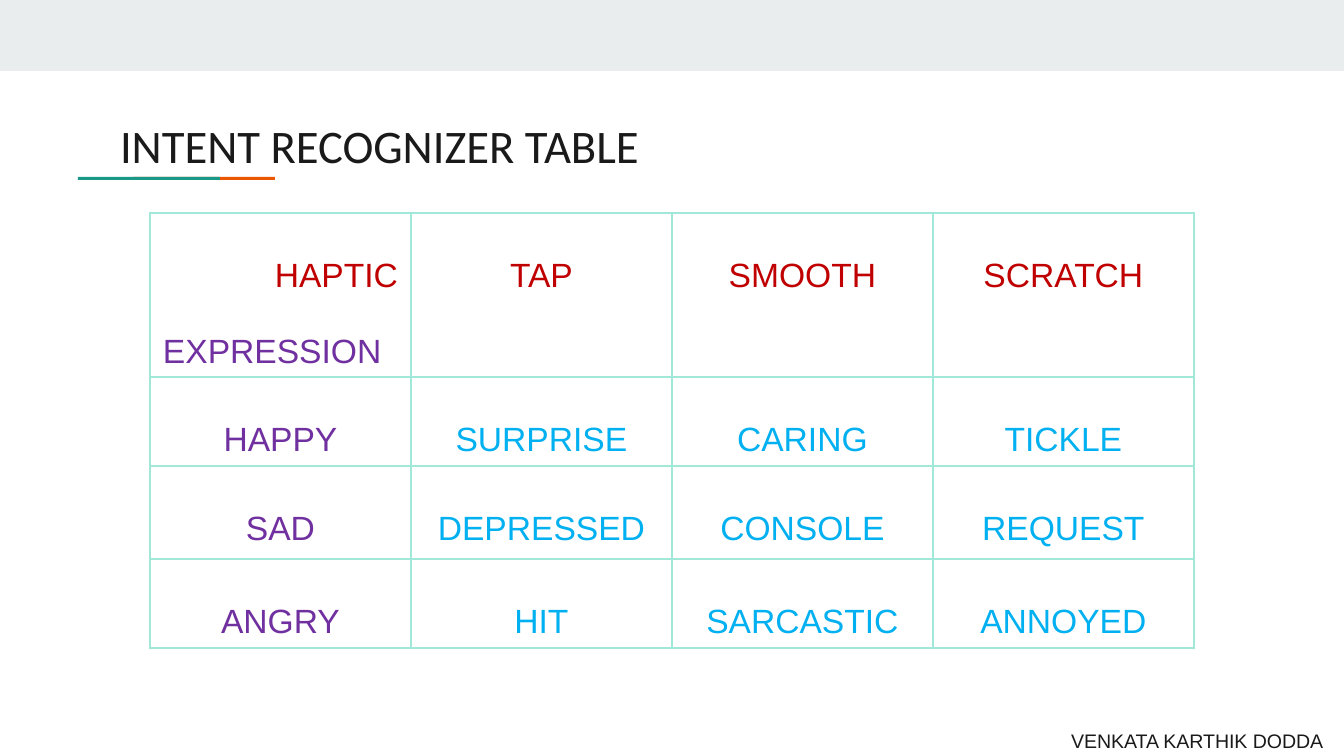
from lxml import etree
from pptx import Presentation
from pptx.dml.color import RGBColor
from pptx.enum.shapes import MSO_SHAPE
from pptx.enum.text import MSO_ANCHOR, MSO_AUTO_SIZE, PP_ALIGN
from pptx.oxml.ns import qn
from pptx.util import Pt

RECT = MSO_SHAPE.RECTANGLE
TOP = MSO_ANCHOR.TOP
GROW = MSO_AUTO_SIZE.SHAPE_TO_FIT_TEXT
FIXED = MSO_AUTO_SIZE.NONE
LEFT, MID, RIGHT = PP_ALIGN.LEFT, PP_ALIGN.CENTER, PP_ALIGN.RIGHT

INK = RGBColor(0x1A, 0x1A, 0x1A)
BAND = RGBColor(0xE9, 0xED, 0xEE)
TEAL = RGBColor(0x1A, 0x99, 0x88)
ORANGE = RGBColor(0xEB, 0x56, 0x00)
MINT = RGBColor(0xA1, 0xE8, 0xD9)
RED = RGBColor(0xC0, 0x00, 0x00)
PURPLE = RGBColor(0x70, 0x30, 0xA0)
BLUE = RGBColor(0x00, 0xB0, 0xF0)


def px(n):
    return round(n * 914400 / 134.4)


def write(para, text, font="Arial", size=18, color=INK, align=LEFT,
          before=0, line=None):
    run = para.add_run()
    run.text = text
    run.font.name, run.font.size = font, Pt(size)
    run.font.bold = False
    run.font.color.rgb = color
    para.alignment = align
    if before:
        para.space_before = px(before)
    if line:
        para.line_spacing = line


class Deck:
    def __init__(self, wide, high):
        self.prs = Presentation()
        self.prs.slide_width, self.prs.slide_height = px(wide), px(high)
        self.slide = self.prs.slides.add_slide(self.prs.slide_layouts[5])

    def title(self, text, x, y, w, h):
        box = self.slide.shapes.title
        box.left, box.top, box.width, box.height = map(px, (x, y, w, h))
        frame = box.text_frame
        frame.auto_size = FIXED
        frame.vertical_anchor = TOP
        frame.margin_left = frame.margin_right = px(13)
        frame.margin_top = frame.margin_bottom = px(13)
        write(frame.paragraphs[0], text, font="Calibri", size=25)

    def bar(self, x, y, w, h, color):
        shape = self.slide.shapes.add_shape(RECT, *map(px, (x, y, w, h)))
        shape.shadow.inherit = False
        shape.fill.solid()
        shape.fill.fore_color.rgb = color
        shape.line.fill.background()

    def label(self, text, x, y, w, h, **style):
        box = self.slide.shapes.add_textbox(*map(px, (x, y, w, h)))
        frame = box.text_frame
        frame.word_wrap = True
        frame.auto_size = GROW
        para = frame.paragraphs[0]
        para._p.get_or_add_pPr().set("marL", str(px(4)))
        write(para, text, **style)

    def border(self, cell, color):
        props = cell._tc.get_or_add_tcPr()
        for i, side in enumerate(("lnL", "lnR", "lnT", "lnB")):
            line = etree.Element(qn("a:" + side), w=str(Pt(1)))
            fill = etree.SubElement(line, qn("a:solidFill"))
            etree.SubElement(fill, qn("a:srgbClr"), val=str(color))
            props.insert(i, line)

    def table(self, rows, x, y, step, highs):
        cols = len(rows[0])
        size = map(px, (x, y, step * cols, sum(highs)))
        grid = self.slide.shapes.add_table(len(rows), cols, *size).table
        grid.first_row = grid.horz_banding = False
        for col in grid.columns:
            col.width = px(step)
        for r, (row, high) in enumerate(zip(rows, highs)):
            grid.rows[r].height = px(high)
            for c, text in enumerate(row):
                cell = grid.cell(r, c)
                cell.fill.background()
                self.border(cell, MINT)
                cell.margin_left = cell.margin_right = px(13)
                cell.margin_top, cell.margin_bottom = px(44), px(5)
                color = RED if r == 0 else PURPLE if c == 0 else BLUE
                align = RIGHT if r == c == 0 else MID
                write(cell.text_frame.paragraphs[0], text,
                      color=color, align=align)
        return grid


def main():
    deck = Deck(1344, 756)

    # Top band and two-colour rule
    deck.bar(0, 0, 1344, 71, BAND)
    for x, color in ((133, ORANGE), (78, TEAL)):
        deck.bar(x, 177, 142, 3, color)

    deck.title("INTENT RECOGNIZER TABLE", 107, 104, 1130, 110)

    # Intent for each expression and haptic
    rows = (
        ("HAPTIC", "TAP", "SMOOTH", "SCRATCH"),
        ("HAPPY", "SURPRISE", "CARING", "TICKLE"),
        ("SAD", "DEPRESSED", "CONSOLE", "REQUEST"),
        ("ANGRY", "HIT", "SARCASTIC", "ANNOYED"),
    )
    grid = deck.table(rows, 150, 213, 261, (164, 89, 93, 89))
    corner = grid.cell(0, 0).text_frame.add_paragraph()
    write(corner, "EXPRESSION", color=PURPLE, before=38)

    # Author
    deck.label("VENKATA KARTHIK DODDA", 1054, 711, 366, 46,
               size=10.5, line=1.5)

    deck.prs.save("out.pptx")


if __name__ == "__main__":
    main()
